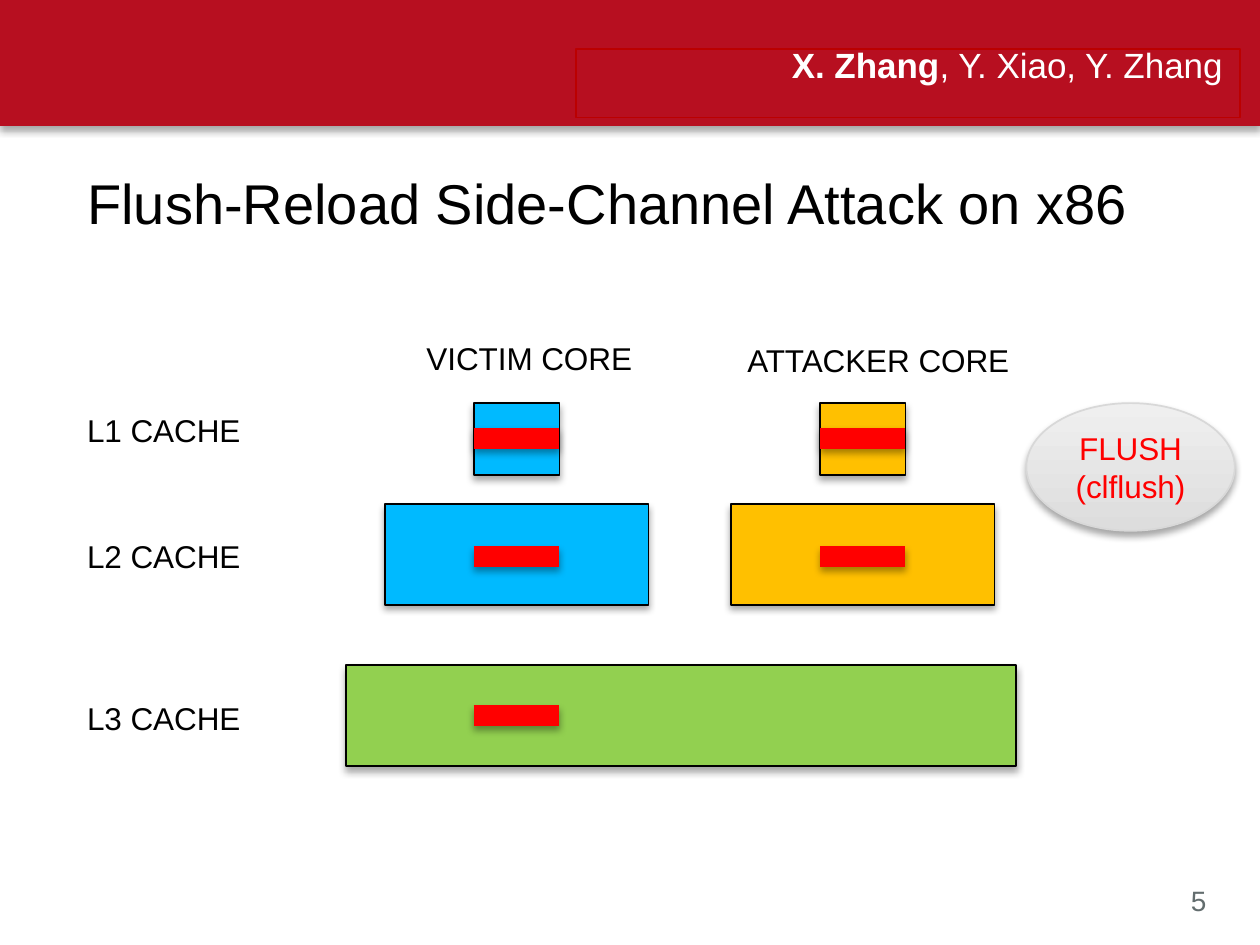
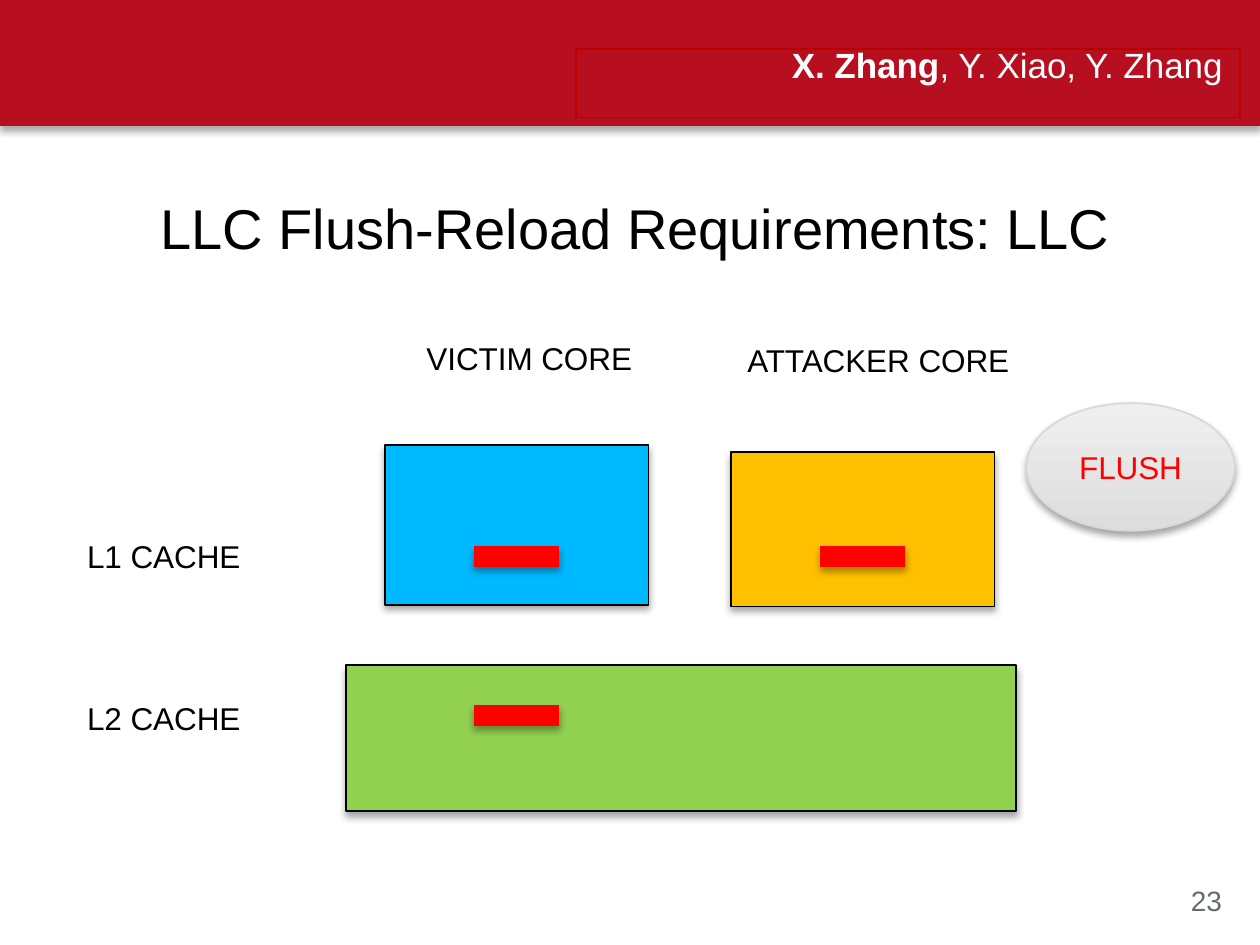
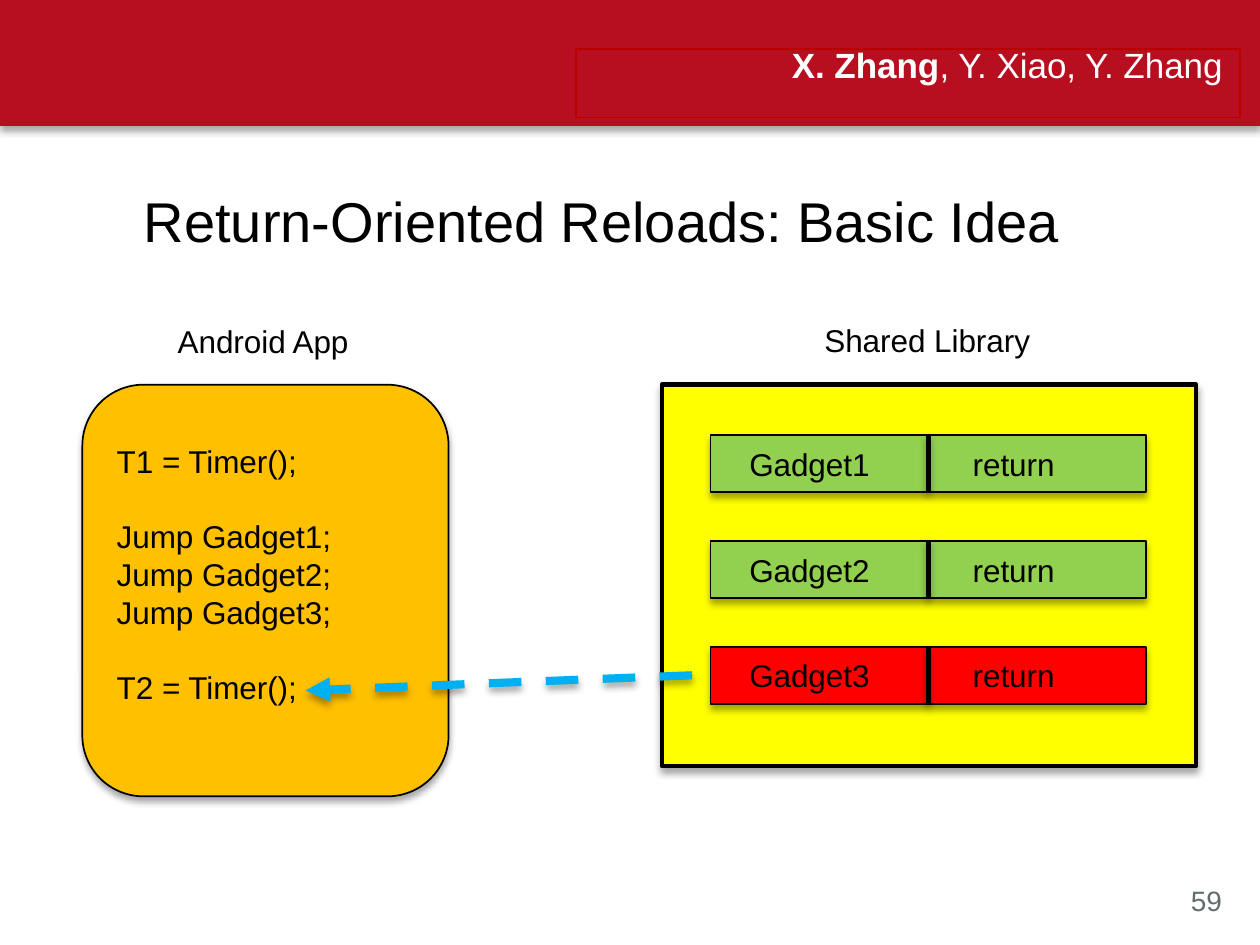
from lxml.etree import SubElement
from pptx import Presentation
from pptx.dml.color import RGBColor
from pptx.enum.dml import MSO_LINE
from pptx.enum.shapes import MSO_CONNECTOR, MSO_SHAPE
from pptx.enum.text import MSO_ANCHOR, MSO_AUTO_SIZE, PP_ALIGN
from pptx.oxml.ns import qn
from pptx.util import Inches, Pt

FONT = "Arial"
BLACK, WHITE, GREY, RED = "000000", "FFFFFF", "636D6E", "FF0000"
BAND_RED, FRAME_RED = "B70F20", "BB0000"
BLUE, AMBER, GREEN, YELLOW, ARROW_BLUE = "00BAFF", "FFC000", "92D050", "FFFF00", "00B0F0"
LEFT, CENTER, RIGHT = PP_ALIGN.LEFT, PP_ALIGN.CENTER, PP_ALIGN.RIGHT
LABEL = "label"
COLUMNS, ROWS = 75, 56.25
color = RGBColor.from_string


def grid(*cells):
    """Turn columns and rows, each a tenth of an inch, into lengths."""
    return [Inches(cell / 10) for cell in cells]


def draw(slide, kind, cells, fill=None, line=None, weight=0.75,
         text="", ink=BLACK, size=13.5, align=LEFT):
    """Add a label, shape or connector; a connector's cells are its two ends."""
    if kind is LABEL:
        item = slide.shapes.add_textbox(*grid(*cells))
    elif kind is MSO_CONNECTOR.STRAIGHT:
        item = slide.shapes.add_connector(kind, *grid(*cells))
    else:
        item = slide.shapes.add_shape(kind, *grid(*cells))
        item.text_frame.vertical_anchor = MSO_ANCHOR.MIDDLE
    if fill:
        item.fill.solid()
        item.fill.fore_color.rgb = color(fill)
    if line:
        item.line.color.rgb = color(line)
        item.line.width = Pt(weight)
    else:
        item.line.fill.background()
    if kind is not LABEL:
        effects = SubElement(item.element.spPr, qn("a:effectLst"))
        shadow = SubElement(effects, qn("a:outerShdw"), blurRad=str(Pt(3.1)),
                            dist=str(Pt(1.8)), dir="5400000", rotWithShape="0")
        tone = SubElement(shadow, qn("a:srgbClr"), val=BLACK)
        SubElement(tone, qn("a:alpha"), val="35000")
    if text:
        item.text_frame.word_wrap = True
        item.text_frame.text = text
        for para in item.text_frame.paragraphs:
            para.alignment = align
            for span in para.runs:
                span.font.name, span.font.size = FONT, Pt(size)
                span.font.color.rgb = color(ink)
    return item


deck = Presentation()
deck.slide_width, deck.slide_height = grid(COLUMNS, ROWS)
layout = deck.slide_layouts[1]

# Shared parts: band, title, authors, slide number
pages = [
    ("5", "Flush-Reload Side-Channel Attack on x86", (4.2, 9.5, 66, 5), LEFT),
    ("23", "LLC Flush-Reload Requirements: LLC", (3.1, 11, 69.4, 5), CENTER),
    ("59", "Return-Oriented Reloads: Basic Idea", (4.9, 10.6, 61.8, 5), CENTER),
]
slides = [deck.slides.add_slide(layout) for page in pages]
band = draw(slides[0], MSO_SHAPE.RECTANGLE, (0, 0, COLUMNS, 7.5), BAND_RED)
layout.shapes.element.insert(2, band.element)

for slide, (number, heading, cells, align) in zip(slides, pages):
    title, authors = slide.placeholders
    for box, place in ((title, cells), (authors, (34.3, 2.9, 39.5, 4.1))):
        box.left, box.top, box.width, box.height = grid(*place)
        box.text_frame.auto_size = MSO_AUTO_SIZE.NONE
        box.text_frame.vertical_anchor = MSO_ANCHOR.TOP
    title.text_frame.text = heading
    para = title.text_frame.paragraphs[0]
    para.alignment = align
    span = para.runs[0]
    span.font.name, span.font.size = FONT, Pt(24)
    span.font.color.rgb = color(BLACK)

    authors.line.color.rgb = color(FRAME_RED)
    authors.line.width = Pt(0.75)
    para = authors.text_frame.paragraphs[0]
    properties = para._p.get_or_add_pPr()
    properties.set("marL", "0")
    properties.set("indent", "0")
    SubElement(properties, qn("a:buNone"))
    para.alignment, para.line_spacing, para.space_before = RIGHT, Pt(12.3), Pt(0)
    for words, bold in (("X. Zhang", True), (", Y. Xiao, Y. Zhang", False)):
        span = para.add_run()
        span.text = words
        span.font.name, span.font.size, span.font.bold = FONT, Pt(15), bold
        span.font.color.rgb = color(WHITE)
    draw(slide, LABEL, (69.9, 52.1, 4.1, 3), text=number, ink=GREY, size=12)

# Slides 1 and 2: cache levels of both cores
VICTIM, ATTACKER = 30.75, 51.35  # middle columns of the cores
LINE_WIDTH = 5.1
cache_slides = [
    (slides[0], "FLUSH\n(clflush)",
     [("L1 CACHE", 24), ("L2 CACHE", 31.5), ("L3 CACHE", 41.1)],
     [(VICTIM, 24, 5.1, 4.3, BLUE), (ATTACKER, 24, 5.1, 4.3, AMBER),
      (VICTIM, 30, 15.7, 6, BLUE), (ATTACKER, 30, 15.7, 6, AMBER),
      (40.55, 39.6, 39.9, 6, GREEN)],
     [(VICTIM, 26.1), (ATTACKER, 26.1)]),
    (slides[1], "FLUSH",
     [("L1 CACHE", 31.5), ("L2 CACHE", 41.1)],
     [(VICTIM, 26.5, 15.7, 9.5, BLUE), (ATTACKER, 26.9, 15.7, 9.2, AMBER),
      (40.55, 39.6, 39.9, 8.7, GREEN)],
     []),
]
for slide, action, levels, caches, extra_lines in cache_slides:
    for text, top in levels:
        draw(slide, LABEL, (4.2, top, 11.7, 3.3), text=text)
    draw(slide, LABEL, (24.4, 19.7, 17.1, 3.3), text="VICTIM CORE")
    draw(slide, LABEL, (43.5, 19.8, 18.3, 3.3), text="ATTACKER CORE")
    for middle, top, width, height, fill in caches:
        draw(slide, MSO_SHAPE.RECTANGLE, (middle - width / 2, top, width, height), fill, BLACK)
    for middle, row in extra_lines + [(VICTIM, 33.15), (ATTACKER, 33.15), (VICTIM, 42.6)]:
        draw(slide, MSO_CONNECTOR.STRAIGHT,
             (middle - LINE_WIDTH / 2, row, middle + LINE_WIDTH / 2, row), line=RED, weight=9)
    flush = draw(slide, MSO_SHAPE.OVAL, (61.1, 24, 12.4, 7.6), WHITE, "D8D8D8",
                 text=action, ink=RED, align=CENTER)
    flush.fill.gradient()
    flush.fill.gradient_angle = 90
    for stop, position, tone in zip(flush.fill.gradient_stops, (0, 1), ("DDDDDD", "EFEFEF")):
        stop.position, stop.color.rgb = position, color(tone)

# Slide 3: app code and gadgets in the library
slide = slides[2]
draw(slide, LABEL, (9.6, 18.7, 12.3, 3.3), text="Android App")
draw(slide, LABEL, (47.7, 18.6, 15, 3.3), text="Shared Library", align=CENTER)
draw(slide, MSO_SHAPE.RECTANGLE, (39.4, 22.9, 31.8, 22.7), YELLOW, BLACK, 2)
code = draw(slide, MSO_SHAPE.ROUNDED_RECTANGLE, (4.9, 22.9, 21.8, 24.5), AMBER, BLACK,
            text="T1 = Timer();\nJump Gadget1;\nJump Gadget2;\nJump Gadget3;\nT2 = Timer();")
code.text_frame.margin_bottom = Inches(0.25)
for index in (1, 4):
    code.text_frame.paragraphs[index].space_before = Pt(16)

for index, fill in enumerate((GREEN, GREEN, RED)):
    gadget = draw(slide, MSO_SHAPE.RECTANGLE, (42.3, 25.9 + 6.3 * index, 25.9, 3.4), fill, BLACK,
                  text=f"Gadget{index + 1}\treturn")
    gadget.text_frame.margin_left = Inches(0.23)
    tabs = SubElement(gadget.text_frame.paragraphs[0]._p.get_or_add_pPr(), qn("a:tabLst"))
    SubElement(tabs, qn("a:tab"), pos=str(Inches(1.33)), algn="l")
    divider = draw(slide, MSO_CONNECTOR.STRAIGHT, (0, 0, 0, 0), line=BLACK, weight=2)
    divider.begin_connect(gadget, 0)
    divider.end_connect(gadget, 2)

arrow = draw(slide, MSO_CONNECTOR.STRAIGHT, (41.2, 40.2, 18.2, 41.1), line=ARROW_BLUE, weight=3.5)
arrow.line.dash_style = MSO_LINE.DASH
SubElement(arrow.line._get_or_add_ln(), qn("a:tailEnd"), type="triangle")

deck.save("out.pptx")
